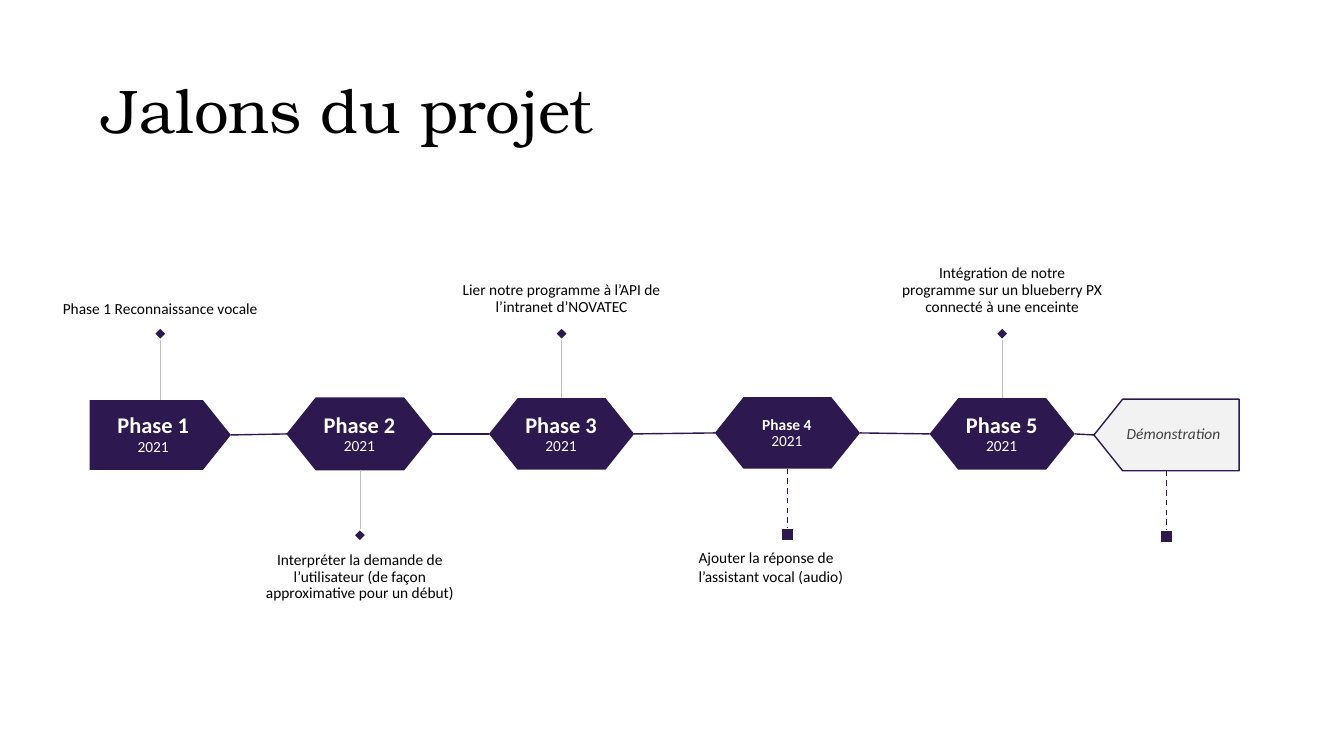
import pptx
import pptx.dml.color
import pptx.enum.dml
import pptx.enum.shapes
import pptx.enum.text
import pptx.oxml
import pptx.util

SHAPES = pptx.enum.shapes.MSO_SHAPE
ANCHOR = pptx.enum.text.MSO_ANCHOR
ALIGN = pptx.enum.text.PP_ALIGN

EMU_PER_PX = 9144
PURPLE, GREY, WHITE, BLACK = "2D184F", "BFBFBF", "FFFFFF", "000000"

TITLE = "Jalons du projet"
YEAR = "2021"
PHASES = [
    dict(name="Phase 1", size=16, at=(89, 397, 140, 69), kind="start",
         label=(89, 397, 126, 69), marker="up", note="Phase 1 Reconnaissance vocale"),
    dict(name="Phase 2", size=16, at=(285, 395, 144, 71), kind="step", marker="down",
         outline=PURPLE,
         note="Interpréter la demande de l’utilisateur (de façon approximative pour un début)"),
    dict(name="Phase 3", size=16, at=(485, 395, 144, 71), kind="step", marker="up",
         note="Lier notre programme à l’API de l’intranet d’NOVATEC"),
    dict(name="Phase 4", size=11, at=(709, 394, 144, 71), kind="step", marker="square",
         inset=9, note="Ajouter la réponse de l’assistant vocal (audio)"),
    dict(name="Phase 5", size=16, at=(922, 395, 144, 71), kind="step", marker="up",
         note="Intégration de notre programme sur un blueberry PX connecté à une enceinte"),
    dict(name="Démonstration", at=(1085, 396, 144, 71), kind="end", outline=PURPLE,
         label=(1099, 396, 130, 71), inset=9, marker="square"),
]
KINDS = {"start": SHAPES.PENTAGON, "step": SHAPES.HEXAGON, "end": SHAPES.PENTAGON}
MARKER_SIZE, STEM_LENGTH = 12, 59
UPPER_MARKER_TOP = 325
NOTE_WIDTH, NOTE_HEIGHT = 200, 188
UPPER_NOTE_TOP, LOWER_NOTE_TOP = 136, 537


def px(value):
    return round(value * EMU_PER_PX)


def rgb(value):
    return pptx.dml.color.RGBColor.from_string(value)


def set_all(target, values):
    for name, value in values.items():
        setattr(target, name, value)


def add_span(para, text, size, color, font="Calibri", **style):
    span = para.add_run()
    span.text = text
    set_all(span.font, dict(name=font, size=pptx.util.Pt(size), **style))
    span.font.color.rgb = rgb(color)


def add_box(slide, at, anchor, insets, align=ALIGN.CENTER, spacing=0.9):
    """Add an empty text box and return its first paragraph."""
    frame = slide.shapes.add_textbox(*map(px, at)).text_frame
    across, down = map(px, insets)
    set_all(frame, dict(word_wrap=True, vertical_anchor=anchor,
                        margin_left=across, margin_right=across,
                        margin_top=down, margin_bottom=down))
    para = frame.paragraphs[0]
    set_all(para, dict(alignment=align, line_spacing=spacing))
    return para


def add_block(slide, kind, at, fill, outline=None):
    block = slide.shapes.add_shape(kind, *map(px, at))
    block.shadow.inherit = False
    block.fill.solid()
    block.fill.fore_color.rgb = rgb(fill)
    if outline:
        block.line.color.rgb = rgb(outline)
        block.line.width = pptx.util.Pt(1)
    else:
        block.line.fill.background()
    return block


def add_line(slide, start, end, color=PURPLE, width=1, dashed=False):
    line = slide.shapes.add_connector(pptx.enum.shapes.MSO_CONNECTOR.STRAIGHT,
                                      *map(px, start + end))
    line.line.color.rgb = rgb(color)
    line.line.width = pptx.util.Pt(width)
    if dashed:
        line.line.dash_style = pptx.enum.dml.MSO_LINE.DASH
    line._element.spPr.append(pptx.oxml.parse_xml(
        '<a:effectLst xmlns:a="http://schemas.openxmlformats.org/drawingml/2006/main"/>'))
    return line


def add_title(slide):
    title = slide.shapes.title
    set_all(title, dict(left=px(92), top=px(40), width=px(1150), height=px(145)))
    set_all(title.text_frame, dict(vertical_anchor=ANCHOR.MIDDLE, word_wrap=True))
    para = title.text_frame.paragraphs[0]
    set_all(para, dict(alignment=ALIGN.LEFT, line_spacing=0.9))
    add_span(para, TITLE, 44, BLACK, font="TeX Gyre Bonum")


def add_phase(slide, phase):
    left, top, width, height = phase["at"]
    is_end = phase["kind"] == "end"
    block = add_block(slide, KINDS[phase["kind"]], phase["at"],
                      "F2F2F2" if is_end else PURPLE, phase.get("outline"))
    block.adjustments[0] = 0.4
    block.rotation = 180 if is_end else 0

    label = phase.get("label", (left + 21, top + 11, 101, 50))
    inset = phase.get("inset", 13)
    para = add_box(slide, label, ANCHOR.MIDDLE, (inset, inset))
    if is_end:
        add_span(para, phase["name"], 11, "404040", italic=True)
    else:
        add_span(para, phase["name"], phase["size"], WHITE, bold=True)
        para.add_line_break()
        add_span(para, YEAR, 11, WHITE)


def add_marker(slide, phase):
    """Add the marker of a phase and the stem that ties it to its block."""
    left, top, width, height = phase["at"]
    center = left + width / 2
    is_up, is_square = phase["marker"] == "up", phase["marker"] == "square"
    edge = top if is_up else top + height
    marker_top = UPPER_MARKER_TOP if is_up else edge + STEM_LENGTH
    marker = add_block(slide, SHAPES.RECTANGLE if is_square else SHAPES.DIAMOND,
                       (center - MARKER_SIZE / 2, marker_top, MARKER_SIZE, MARKER_SIZE),
                       PURPLE, WHITE)
    stem = add_line(slide, (center, edge), (center, marker_top),
                    PURPLE if is_square else GREY, 1 if is_square else 0.25, is_square)
    stem.end_connect(marker, 2 if is_up else 0)


def add_note(slide, phase):
    left, top, width, height = phase["at"]
    note_left = left + width / 2 - NOTE_WIDTH / 2
    if phase["marker"] == "square":
        para = add_box(slide, (683, 539, 203, 47), ANCHOR.TOP, (10, 5), ALIGN.LEFT, 1.0)
    elif phase["marker"] == "up":
        para = add_box(slide, (note_left, UPPER_NOTE_TOP, NOTE_WIDTH, NOTE_HEIGHT),
                       ANCHOR.BOTTOM, (0, 11))
    else:
        para = add_box(slide, (note_left, LOWER_NOTE_TOP, NOTE_WIDTH, NOTE_HEIGHT),
                       ANCHOR.TOP, (0, 11))
    add_span(para, phase["note"], 11, BLACK)


def main():
    deck = pptx.Presentation()
    set_all(deck, dict(slide_width=px(1333), slide_height=px(750)))
    slide = deck.slides.add_slide(deck.slide_layouts[5])
    add_title(slide)
    for phase in PHASES:
        add_phase(slide, phase)
        add_marker(slide, phase)
        if "note" in phase:
            add_note(slide, phase)
    for phase, following in zip(PHASES, PHASES[1:]):
        left, top, width, height = phase["at"]
        next_left, next_top, _, next_height = following["at"]
        add_line(slide, (left + width, top + height / 2),
                 (next_left, next_top + next_height / 2))
    deck.save("out.pptx")


if __name__ == "__main__":
    main()
